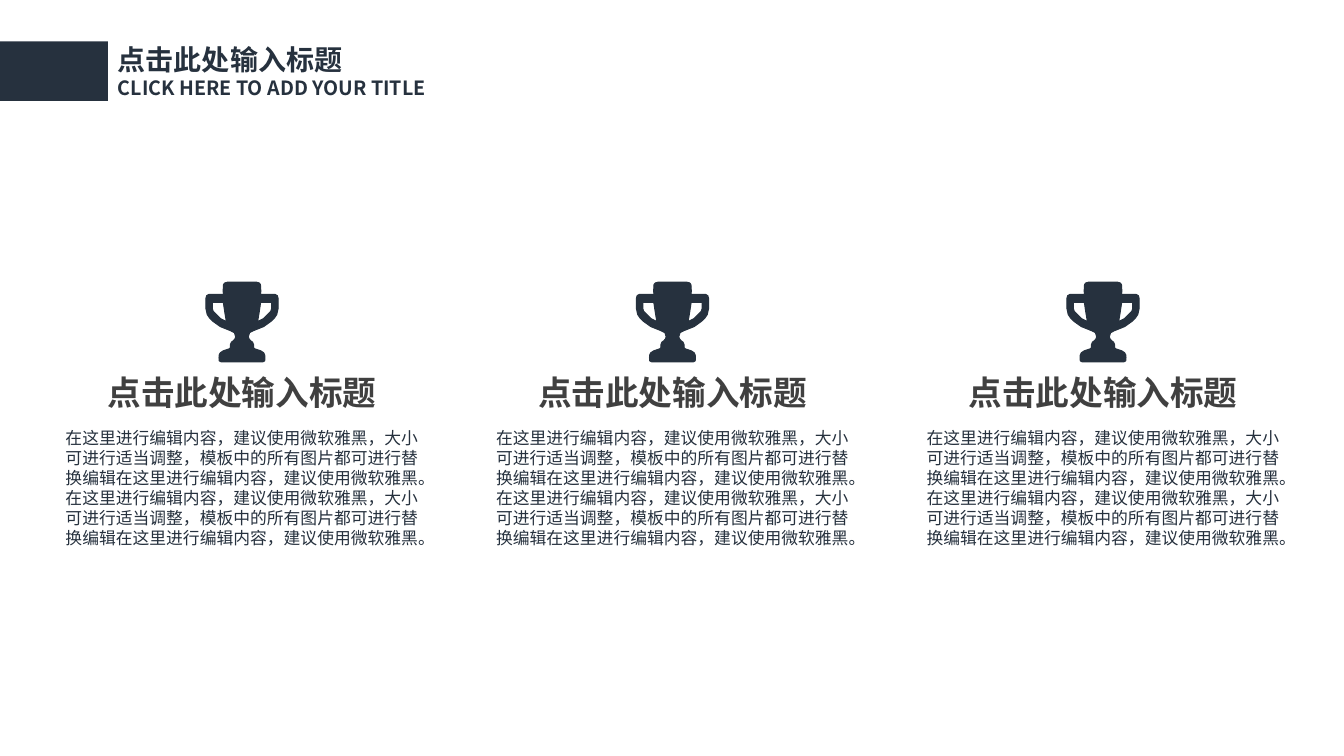
from lxml import etree
from pptx import Presentation
from pptx.dml.color import RGBColor
from pptx.enum.shapes import MSO_SHAPE
from pptx.enum.text import MSO_ANCHOR, MSO_AUTO_SIZE, PP_ALIGN
from pptx.oxml.ns import qn
from pptx.util import Inches, Pt

RECTANGLE = MSO_SHAPE.RECTANGLE
LEFT, CENTER = PP_ALIGN.LEFT, PP_ALIGN.CENTER
TOP, MIDDLE = MSO_ANCHOR.TOP, MSO_ANCHOR.MIDDLE
GROW = MSO_AUTO_SIZE.SHAPE_TO_FIT_TEXT
FIXED = MSO_AUTO_SIZE.NONE

NAVY, GRAY = "26313E", "404040"
CJK_FONT, BODY_FONT = "Noto Sans CJK SC", "Arial"
HEADING = "点击此处输入标题"
SUBTITLE = "CLICK HERE TO ADD YOUR TITLE"
BODY = ("在这里进行编辑内容，建议使用微软雅黑，大小可进行适当调整，"
        "模板中的所有图片都可进行替换编辑在这里进行编辑内容，建议使用微软雅黑。") * 2

FIRST_CENTER, COLUMN_STEP, COLUMN_COUNT = 2.4, 4.27, 3
BODY_WIDTH, HEADING_WIDTH = 3.84, 3.12
TROPHY_TOP = 2.8

# Right half of the trophy, in hundredths of an inch from its top centre.
CUP_HALF = [
    (14.5, 0), (17, 0.7), (18.3, 2.3), (18.7, 9), (18.3, 12), (32.5, 12),
    (35, 13.3), (35.8, 16), (35.8, 26), (34.5, 32), (32, 35.7), (28.5, 39),
    (21.5, 44), (11.5, 48), (7.5, 50), (6.3, 54), (6.8, 56), (8.5, 58),
    (10.5, 59.5), (11.5, 62), (11.5, 65), (12.5, 66), (15.5, 67),
    (18.5, 68), (21.5, 70), (22.5, 72), (22.8, 75), (22.5, 78), (20.5, 79),
]
HANDLE_HOLE = [
    (29.5, 20), (18.5, 20), (17, 30), (15.5, 39), (21.5, 36),
    (25.5, 32), (28.5, 29), (29.5, 26),
]


def color(hex_value):
    return RGBColor.from_string(hex_value)


def mirrored(points):
    return [(-x, y) for x, y in reversed(points)]


class SlideBuilder:
    def __init__(self, slide):
        self.shapes = slide.shapes

    def paint(self, shape, fill, line_width=0):
        shape.shadow.inherit = False
        shape.fill.solid()
        shape.fill.fore_color.rgb = color(fill)
        if line_width:
            shape.line.color.rgb = color(fill)
            shape.line.width = Pt(line_width)
        else:
            shape.line.fill.background()

    def rectangle(self, left, top, width, height, fill):
        bar = self.shapes.add_shape(RECTANGLE, Inches(left), Inches(top),
                                    Inches(width), Inches(height))
        self.paint(bar, fill)

    def trophy(self, center, top):
        contours = [
            [(Inches(center + x / 100), Inches(top + y / 100)) for x, y in points]
            for points in (CUP_HALF + mirrored(CUP_HALF), HANDLE_HOLE,
                           mirrored(HANDLE_HOLE))
        ]
        builder = self.shapes.build_freeform(*contours[0][0])
        for contour in contours:
            builder.move_to(*contour[0])
            builder.add_line_segments(contour[1:], close=True)
        self.paint(builder.convert_to_shape(), NAVY, 0.75)

    def text(self, left, top, width, height, lines, font, ink,
             bold=False, align=LEFT, anchor=TOP, fit=GROW):
        """Add a text box; lines holds one (wording, point size) per paragraph."""
        box = self.shapes.add_textbox(Inches(left), Inches(top),
                                      Inches(width), Inches(height))
        frame = box.text_frame
        frame.word_wrap = True
        frame.auto_size = fit
        frame.vertical_anchor = anchor
        frame.text = "\n".join(wording for wording, _ in lines)
        for para, (_, size) in zip(frame.paragraphs, lines):
            para.alignment = align
            span = para.runs[0]
            span.font.size = Pt(size)
            span.font.bold = bold
            span.font.color.rgb = color(ink)
            span.font.name = font
            east_asian = etree.SubElement(span.font._element, qn("a:ea"))
            east_asian.set("typeface", CJK_FONT)


def main():
    deck = Presentation()
    deck.slide_width, deck.slide_height = Inches(13.33), Inches(7.5)
    page = SlideBuilder(deck.slides.add_slide(deck.slide_layouts[6]))

    for column in range(COLUMN_COUNT):
        center = FIRST_CENTER + column * COLUMN_STEP
        page.trophy(center, TROPHY_TOP)
        page.text(center - BODY_WIDTH / 2, 4.19, BODY_WIDTH, 1.31,
                  [(BODY, 12)], BODY_FONT, NAVY, align=CENTER)
        page.text(center - HEADING_WIDTH / 2, 3.72, HEADING_WIDTH, 0.34,
                  [(HEADING, 24)], CJK_FONT, GRAY, bold=True,
                  align=CENTER, anchor=MIDDLE, fit=FIXED)

    page.rectangle(0, 0.41, 1.07, 0.59, NAVY)
    page.text(1.07, 0.37, 4.39, 0.67, [(HEADING, 20), (SUBTITLE, 14)],
              CJK_FONT, NAVY, bold=True)
    deck.save("out.pptx")


if __name__ == "__main__":
    main()
